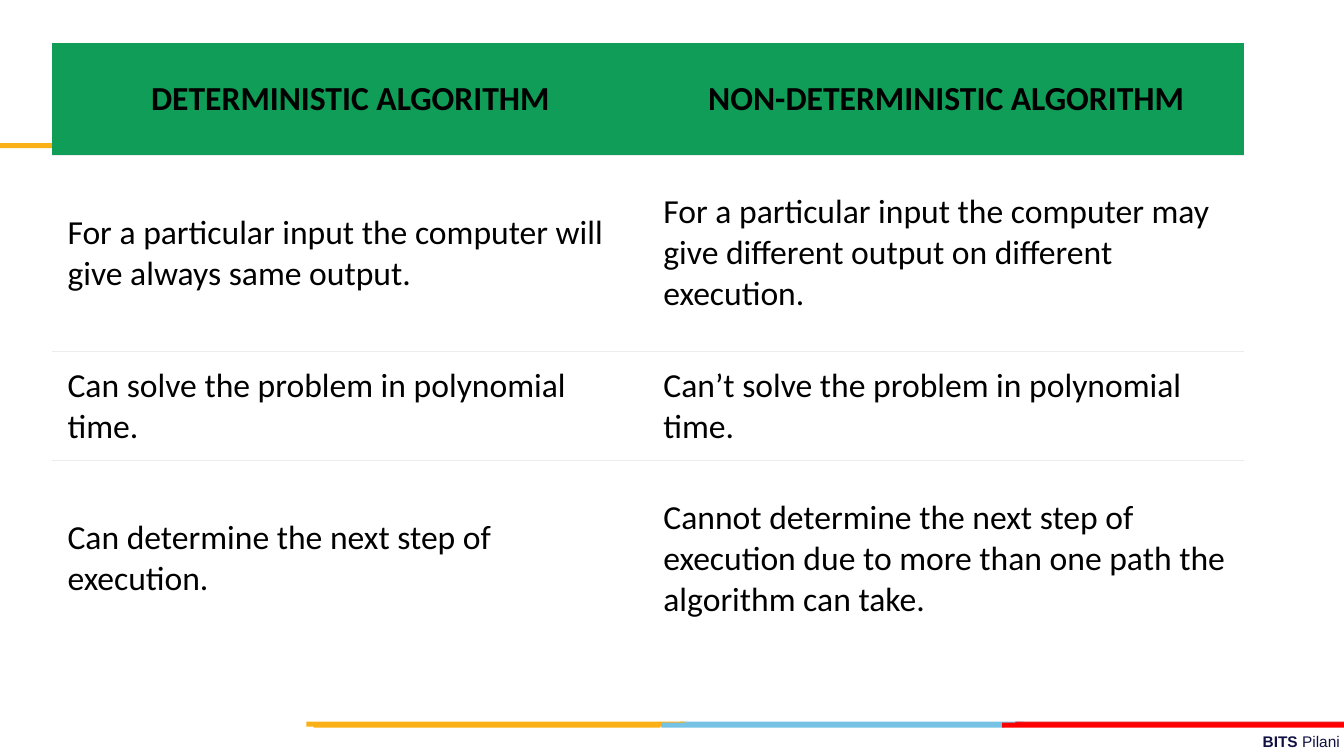
from dataclasses import dataclass

from lxml.etree import SubElement
from pptx import Presentation
from pptx.dml.color import RGBColor
from pptx.enum.shapes import MSO_SHAPE
from pptx.enum.text import MSO_ANCHOR, PP_ALIGN
from pptx.oxml import parse_xml
from pptx.oxml.ns import nsdecls, qn
from pptx.slide import Slide
from pptx.table import _Cell
from pptx.util import Inches, Pt


@dataclass(frozen=True)
class Theme:
    header: str = "0F9D58"
    rule: str = "EDEDED"
    text: str = "000000"
    footer: str = "101141"
    yellow: str = "FCB017"
    blue: str = "76C2E5"
    crimson: str = "E31C24"
    red: str = "FF0000"
    table_font: str = "Calibri"
    footer_font: str = "Arial"
    table_size: int = 24
    footer_size: int = 11


@dataclass(frozen=True)
class Stripe:
    left: float
    top: float
    width: float
    color: str


THEME = Theme()
STRIPE_HEIGHT = 0.05
NO_TABLE_STYLE = "{2D5ABB26-0587-4C30-8999-92F81FD0307C}"

STRIPES = [
    Stripe(6.75, 7.16, 3.4, THEME.blue),
    Stripe(10.07, 7.16, 3.26, THEME.crimson),
    Stripe(3.04, 7.16, 3.76, THEME.yellow),
    Stripe(6.56, 7.17, 3.4, THEME.blue),
    Stripe(3.11, 7.17, 3.44, THEME.yellow),
    Stripe(9.94, 7.17, 3.4, THEME.red),
    Stripe(0, 1.42, 3.44, THEME.yellow),
]

COMPARISON = [
    ("DETERMINISTIC ALGORITHM", "NON-DETERMINISTIC ALGORITHM"),
    ("For a particular input the computer will give always same output.",
     "For a particular input the computer may give different output on different execution."),
    ("Can solve the problem in polynomial time.",
     "Can’t solve the problem in polynomial time."),
    ("Can determine the next step of execution.",
     "Cannot determine the next step of execution due to more than one path "
     "the algorithm can take."),
]
ROW_HEIGHTS = [1.11, 1.95, 1.08, 1.95]
COLUMN_WIDTH = 5.91


def add_stripe(slide: Slide, stripe: Stripe) -> None:
    bar = slide.shapes.add_shape(
        MSO_SHAPE.RECTANGLE, Inches(stripe.left), Inches(stripe.top),
        Inches(stripe.width), Inches(STRIPE_HEIGHT))
    bar.shadow.inherit = False
    bar.fill.solid()
    bar.fill.fore_color.rgb = RGBColor.from_string(stripe.color)
    bar.line.fill.background()


def add_footer(slide: Slide) -> None:
    footer = slide.shapes.add_textbox(Inches(4.78), Inches(7.21), Inches(8.56), Inches(0.29))
    frame = footer.text_frame
    frame.word_wrap = True
    frame.margin_left = frame.margin_right = Inches(0.05)
    frame.margin_top = frame.margin_bottom = Inches(0.05)
    line = frame.paragraphs[0]
    line.alignment = PP_ALIGN.RIGHT
    for word, bold in (("BITS ", True), ("Pilani", False)):
        run = line.add_run()
        run.text = word
        run.font.name = THEME.footer_font
        run.font.size = Pt(THEME.footer_size)
        run.font.bold = bold
        run.font.color.rgb = RGBColor.from_string(THEME.footer)


def add_bottom_rule(cell: _Cell) -> None:
    """Border elements must come before the fill in the cell properties."""
    rule = parse_xml(f'<a:lnB {nsdecls("a")} w="{Pt(0.75)}"/>')
    fill = SubElement(rule, qn("a:solidFill"))
    SubElement(fill, qn("a:srgbClr"), val=THEME.rule)
    cell._tc.get_or_add_tcPr().insert(0, rule)


def fill_cell(cell: _Cell, text: str, is_header: bool) -> None:
    cell.text_frame.text = text
    cell.vertical_anchor = MSO_ANCHOR.MIDDLE
    cell.margin_left = cell.margin_right = Inches(0.08 if is_header else 0.15)
    cell.margin_top = cell.margin_bottom = Inches(0.08 if is_header else 0.07)
    if is_header:
        cell.fill.solid()
        cell.fill.fore_color.rgb = RGBColor.from_string(THEME.header)
    else:
        cell.fill.background()
    paragraph = cell.text_frame.paragraphs[0]
    paragraph.alignment = PP_ALIGN.CENTER if is_header else PP_ALIGN.LEFT
    font = paragraph.runs[0].font
    font.name = THEME.table_font
    font.size = Pt(THEME.table_size)
    font.bold = is_header
    font.color.rgb = RGBColor.from_string(THEME.text)


def add_comparison(slide: Slide) -> None:
    table = slide.shapes.add_table(
        len(COMPARISON), 2, Inches(0.52), Inches(0.43),
        Inches(2 * COLUMN_WIDTH), Inches(sum(ROW_HEIGHTS))).table
    table.horz_banding = False
    table._tbl.tblPr.find(qn("a:tableStyleId")).text = NO_TABLE_STYLE
    for column in table.columns:
        column.width = Inches(COLUMN_WIDTH)
    for index, (texts, height) in enumerate(zip(COMPARISON, ROW_HEIGHTS)):
        row = table.rows[index]
        row.height = Inches(height)
        for cell, text in zip(row.cells, texts):
            fill_cell(cell, text, is_header=index == 0)
            if index < len(COMPARISON) - 1:
                add_bottom_rule(cell)


def main() -> None:
    presentation = Presentation()
    presentation.slide_width = Inches(13.33)
    presentation.slide_height = Inches(7.5)
    slide = presentation.slides.add_slide(presentation.slide_layouts[6])
    add_footer(slide)
    for stripe in STRIPES:
        add_stripe(slide, stripe)
    add_comparison(slide)
    presentation.save("out.pptx")


if __name__ == "__main__":
    main()
